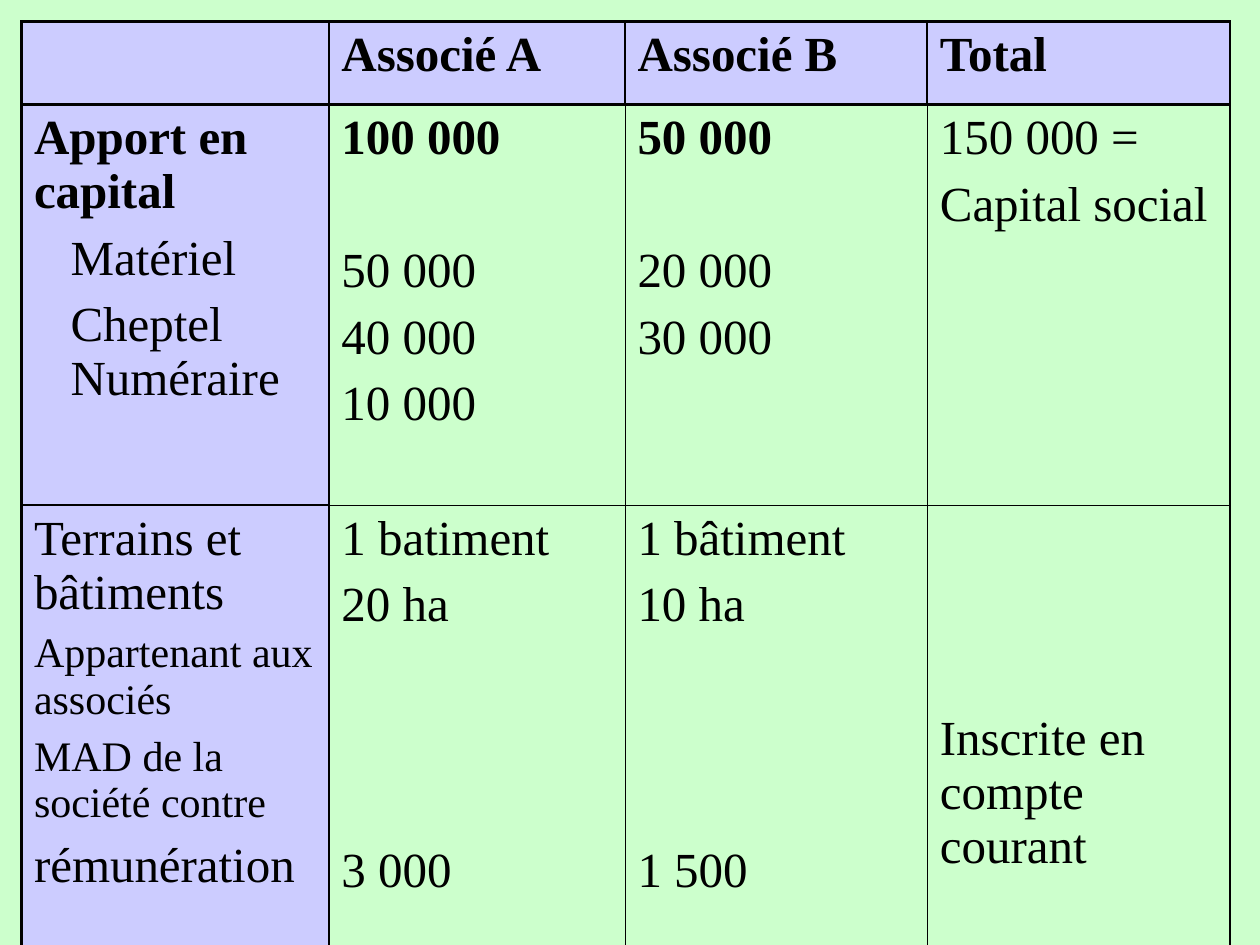
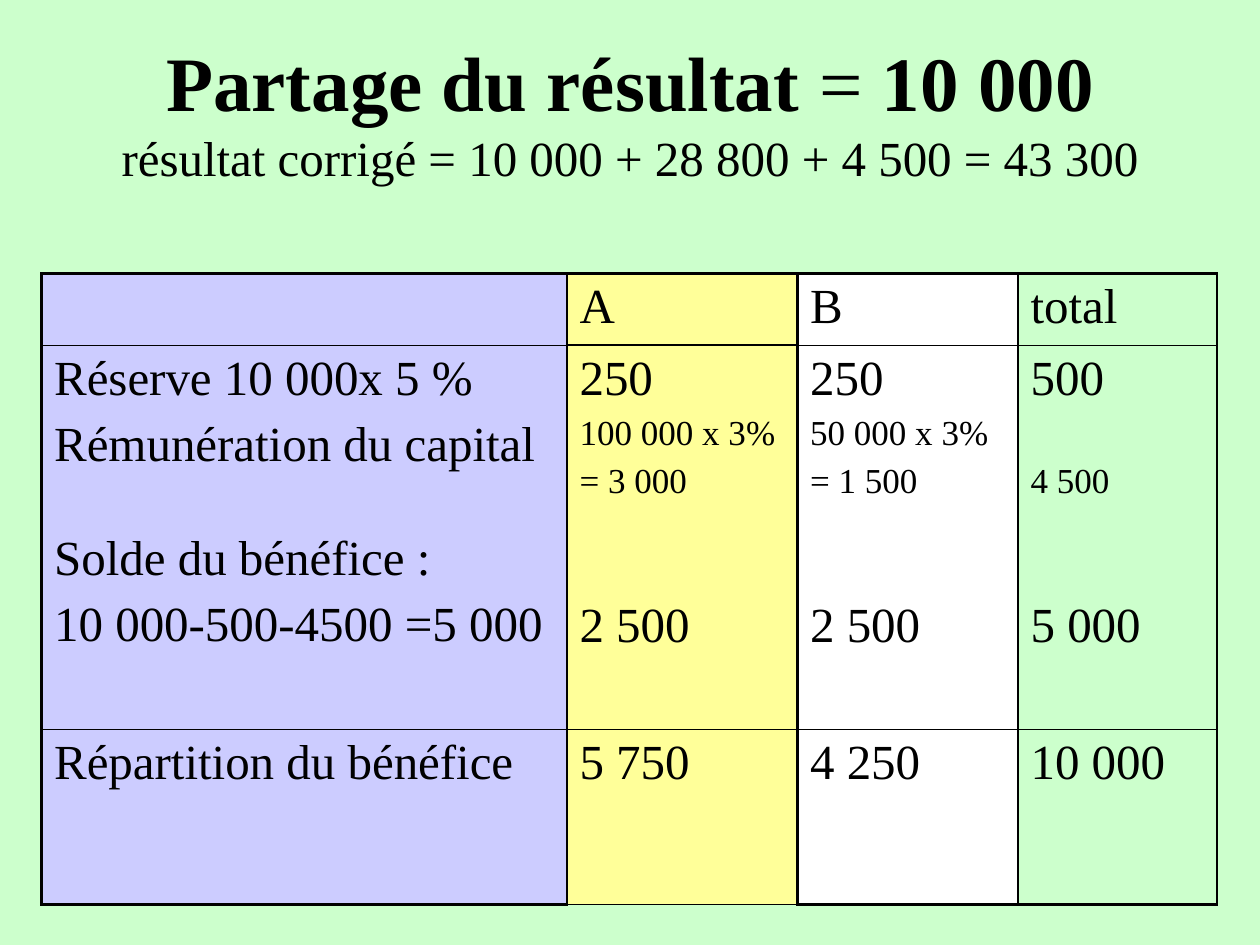
from dataclasses import dataclass

from lxml.etree import SubElement
from pptx import Presentation
from pptx.dml.color import RGBColor
from pptx.enum.text import MSO_ANCHOR, PP_ALIGN
from pptx.oxml.ns import qn
from pptx.util import Inches, Pt


@dataclass(frozen=True)
class Theme:
    font: str = "Times New Roman"
    ink: str = "000000"
    mint: str = "CCFFCC"
    lilac: str = "CCCCFF"
    yellow: str = "FFFF99"
    white: str = "FFFFFF"
    title: int = 44
    body: int = 28
    small: int = 24
    detail: int = 20
    thick: float = 1.47
    medium: float = 1.08
    thin: float = 0.45


THEME = Theme()


@dataclass
class Line:
    """One paragraph; before overrides the usual space of a quarter of the size."""
    text: str
    size: int = THEME.body
    bold: bool = False
    before: float | None = None
    indent: float = 0


class Deck:
    def __init__(self, theme):
        self.theme = theme
        self.prs = Presentation()
        self.prs.slide_width, self.prs.slide_height = Inches(10), Inches(7.5)
        self.slide = None

    def add_slide(self):
        self.slide = self.prs.slides.add_slide(self.prs.slide_layouts[6])
        fill = self.slide.background.fill
        fill.solid()
        fill.fore_color.rgb = RGBColor.from_string(self.theme.mint)

    def add_run(self, p, text, size, bold=False):
        r = p.add_run()
        r.text = text
        formats = {"name": self.theme.font, "size": Pt(size), "bold": bold}
        for name, value in formats.items():
            setattr(r.font, name, value)
        r.font.color.rgb = RGBColor.from_string(self.theme.ink)

    def add_title(self, runs, subtitle):
        box = self.slide.shapes.add_textbox(
            Inches(0.75), Inches(0.25), Inches(8.5), Inches(1.25))
        tf = box.text_frame
        tf.word_wrap = True
        tf.vertical_anchor = MSO_ANCHOR.MIDDLE
        p = tf.paragraphs[0]
        p.alignment = PP_ALIGN.CENTER
        for text, bold in runs:
            self.add_run(p, text, self.theme.title, bold)
        p.add_line_break()
        self.add_run(p, subtitle, self.theme.body)

    def write_cell(self, cell, lines):
        tf = cell.text_frame
        for i, line in enumerate(lines):
            if isinstance(line, str):
                line = Line(line)
            p = tf.add_paragraph() if i else tf.paragraphs[0]
            if i:
                p.space_before = Pt(line.size // 4 if line.before is None else line.before)
            if line.indent:
                p._p.get_or_add_pPr().set("marL", str(Inches(line.indent)))
            for j, part in enumerate(line.text.split("\n")):
                if j:
                    p.add_line_break()
                self.add_run(p, part, line.size, line.bold)

    def style_cell(self, cell, fill, borders):
        tc_pr = cell._tc.get_or_add_tcPr()
        for side, width in borders.items():
            ln = SubElement(tc_pr, qn(f"a:ln{side}"), w=str(Pt(width)))
            color = SubElement(SubElement(ln, qn("a:solidFill")), qn("a:srgbClr"))
            color.set("val", self.theme.ink)
        if fill:
            cell.fill.solid()
            cell.fill.fore_color.rgb = RGBColor.from_string(fill)
        else:
            cell.fill.background()

    def add_table(self, left, top, widths, heights, rows, fills, verticals, horizontals):
        """verticals holds line widths per row, horizontals per rule from top to bottom."""
        table = self.slide.shapes.add_table(
            len(heights), len(widths), Inches(left), Inches(top),
            Inches(sum(widths)), Inches(sum(heights))).table
        table.first_row = table.horz_banding = False
        for column, width in zip(table.columns, widths):
            column.width = Inches(width)
        for row, height in zip(table.rows, heights):
            row.height = Inches(height)
        for r, row in enumerate(rows):
            for c, lines in enumerate(row):
                cell = table.cell(r, c)
                self.write_cell(cell, lines)
                self.style_cell(cell, fills[r][c], {
                    "L": verticals[r][c], "R": verticals[r][c + 1],
                    "T": horizontals[r][c], "B": horizontals[r + 1][c]})
        return table


def add_contributions(deck):
    t = deck.theme
    thick, medium, thin = t.thick, t.medium, t.thin
    one_line_gap, three_line_gap = 45, 121
    deck.add_slide()
    rows = [
        [[]] + [[Line(head, bold=True)] for head in ("Associé A", "Associé B", "Total")],
        [
            [Line("Apport en capital", bold=True), Line("Matériel", indent=0.29),
             Line("Cheptel\nNuméraire", indent=0.29)],
            [Line("100 000", bold=True), Line("50 000", before=one_line_gap),
             "40 000", "10 000"],
            [Line("50 000", bold=True), Line("20 000", before=one_line_gap), "30 000"],
            ["150 000 =", "Capital social"],
        ],
        [
            ["Terrains et bâtiments", Line("Appartenant aux associés", t.small),
             Line("MAD de la société contre", t.small), "rémunération"],
            ["1 batiment", "20 ha", Line("3 000", before=three_line_gap)],
            ["1 bâtiment", "10 ha", Line("1 500", before=three_line_gap)],
            ["Inscrite en compte courant"],
        ],
    ]
    body_fills = [t.lilac, None, None, None]
    body_rules = [thick, thick, thin, thin, medium]
    table = deck.add_table(
        0.17, 0.17, [2.44, 2.35, 2.4, 2.4], [0.66, 3.18, 4.68], rows,
        fills=[[t.lilac] * 4, body_fills, body_fills],
        verticals=[[thick] * 4 + [medium], body_rules, body_rules],
        horizontals=[[thick] * 4, [thick] * 4, [thick] + [thin] * 3, [thick] + [medium] * 3])
    table.cell(2, 3).margin_top = Inches(1.64)


def add_profit_sharing(deck):
    t = deck.theme
    thick, medium, thin = t.thick, t.medium, t.thin
    deck.add_slide()
    deck.add_title([("Partage du résultat", True), (" = ", False), ("10 000", True)],
                   "résultat corrigé = 10 000 + 28 800 + 4 500 = 43 300")
    balance_gap = 56

    def partner_share(capital, interest):
        return ["250", Line(f"{capital} x 3%", t.detail), Line(f"= {interest}", t.detail),
                Line("2 500", before=balance_gap)]

    rows = [
        [[], ["A"], ["B"], ["total"]],
        [
            ["Réserve 10 000x 5 %", "Rémunération du capital",
             Line("Solde du bénéfice :", before=34), "10 000-500-4500 =5 000"],
            partner_share("100 000", "3 000"),
            partner_share("50 000", "1 500"),
            ["500", Line("4 500", t.detail, before=32), Line("5 000", before=balance_gap)],
        ],
        [["Répartition du bénéfice"], ["5 750"], ["4 250"], ["10 000"]],
    ]
    deck.add_table(
        0.33, 2.17, [4.17, 1.83, 1.75, 1.58], [0.57, 3.05, 1.39], rows,
        fills=[[t.lilac, t.yellow, t.white, t.mint]] * 3,
        verticals=[[thick] * 5] * 3,
        horizontals=[[thick] * 4, [thin, thick, thin, thin], [thin] * 4,
                     [thick, medium, thick, thick]])


def main():
    deck = Deck(THEME)
    add_contributions(deck)
    add_profit_sharing(deck)
    deck.prs.save("out.pptx")


if __name__ == "__main__":
    main()
